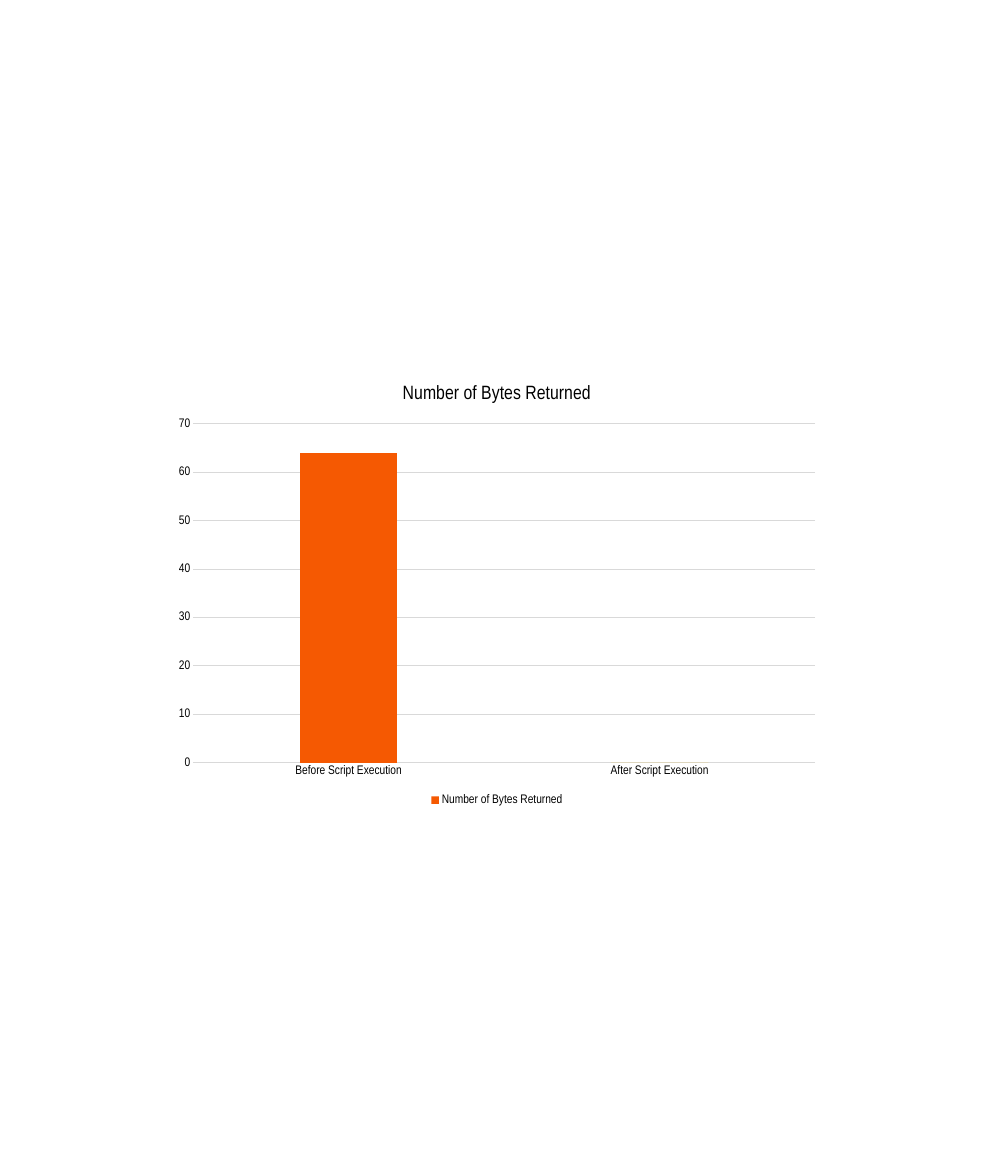
from pptx import Presentation
from pptx.chart.data import CategoryChartData
from pptx.dml.color import RGBColor
from pptx.enum.chart import XL_CHART_TYPE, XL_LEGEND_POSITION, XL_TICK_MARK
from pptx.util import Cm, Pt


def color(hex_value):
    return RGBColor.from_string(hex_value)


class ChartSlide:
    FONT = "Arial Narrow"
    TEXT = "000000"
    RULE = "D9D9D9"

    def __init__(self, slide):
        self.slide = slide

    def style_font(self, font, size):
        font.name = self.FONT
        font.size = Pt(size)
        font.bold = False
        font.color.rgb = color(self.TEXT)

    def style_rule(self, line):
        line.color.rgb = color(self.RULE)
        line.width = Pt(0.75)

    def style_axis(self, axis):
        axis.major_tick_mark = axis.minor_tick_mark = XL_TICK_MARK.NONE
        self.style_font(axis.tick_labels.font, 12)

    def add_title(self, chart, title):
        chart.has_title = True
        chart.chart_title.include_in_layout = False
        heading = chart.chart_title.text_frame
        heading.text = title
        self.style_font(heading.paragraphs[0].font, 18.6)

    def add_legend(self, chart):
        chart.has_legend = True
        chart.legend.position = XL_LEGEND_POSITION.BOTTOM
        chart.legend.include_in_layout = False
        self.style_font(chart.legend.font, 12)

    def add_column_chart(self, left, top, width, height, title, values, bar_colors):
        """Add a one-series column chart; values maps category to number."""
        data = CategoryChartData()
        data.categories = list(values)
        data.add_series(title, list(values.values()))
        chart = self.slide.shapes.add_chart(
            XL_CHART_TYPE.COLUMN_CLUSTERED,
            Cm(left), Cm(top), Cm(width), Cm(height), data).chart
        self.style_font(chart.font, 10)
        self.add_title(chart, title)
        self.add_legend(chart)

        self.style_axis(chart.category_axis)
        self.style_rule(chart.category_axis.format.line)
        byte_axis = chart.value_axis
        self.style_axis(byte_axis)
        byte_axis.format.line.fill.background()
        byte_axis.minimum_scale, byte_axis.maximum_scale = 0, 70
        byte_axis.major_unit = 10
        self.style_rule(byte_axis.major_gridlines.format.line)

        plot = chart.plots[0]
        plot.gap_width, plot.overlap = 219, -27
        plot.vary_by_categories = False
        bytes_returned = plot.series[0]
        for index, bar_color in enumerate(bar_colors):
            bar_fill = bytes_returned.points[index].format.fill
            bar_fill.solid()
            bar_fill.fore_color.rgb = color(bar_color)
        bytes_returned.format.fill.solid()
        bytes_returned.format.fill.fore_color.rgb = color(bar_colors[0])


def main():
    deck = Presentation()
    deck.slide_width, deck.slide_height = Cm(33.86), Cm(40.06)
    page = ChartSlide(deck.slides.add_slide(deck.slide_layouts[6]))
    page.add_column_chart(
        5.64, 12.5, 22.58, 15.06, "Number of Bytes Returned",
        {"Before Script Execution": 64, "After Script Execution": 0},
        ["F55902", "FFC000"])
    deck.save("out.pptx")


if __name__ == "__main__":
    main()
